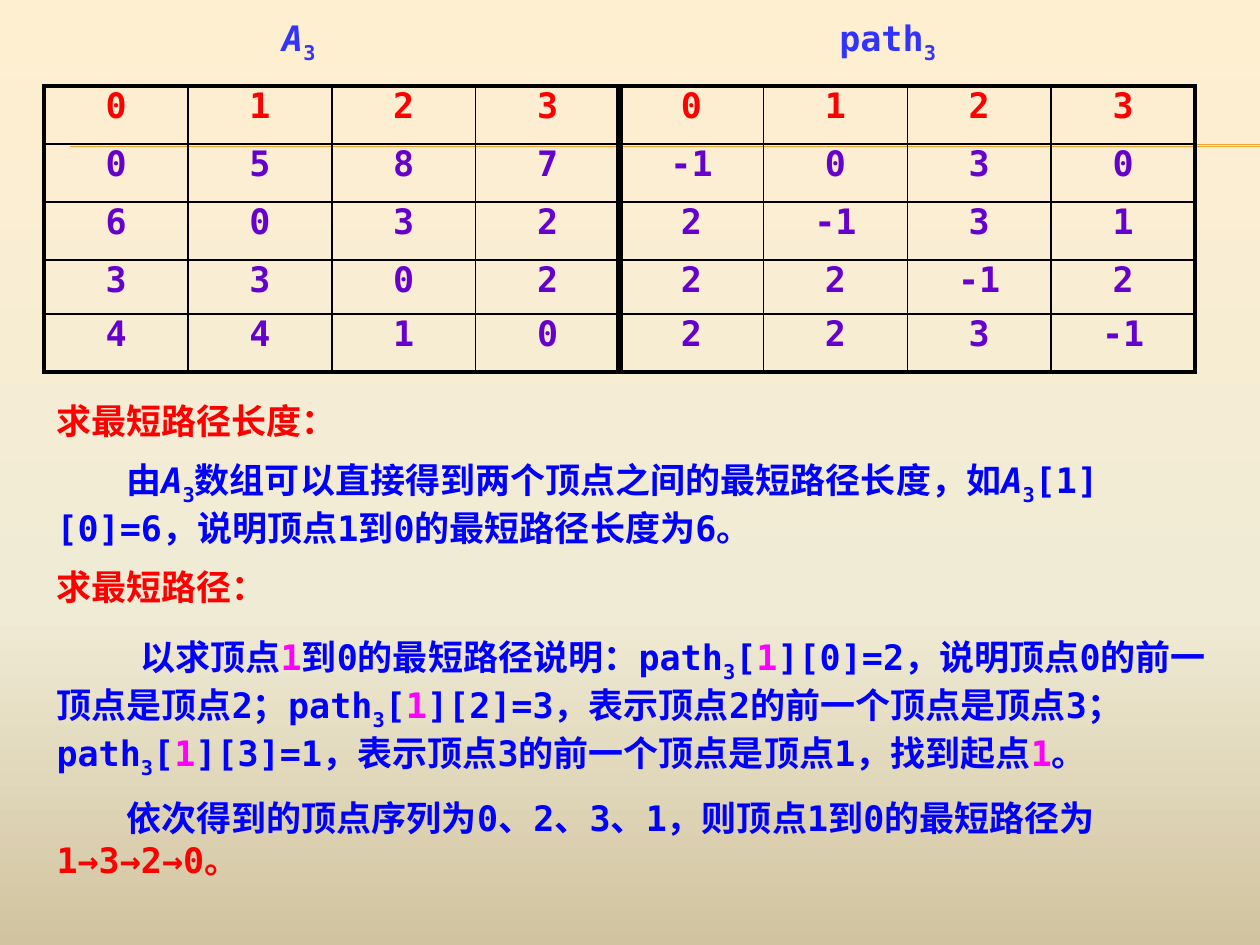
from copy import deepcopy

from lxml import etree
from pptx import Presentation
from pptx.dml.color import RGBColor
from pptx.enum.text import MSO_AUTO_SIZE, PP_ALIGN
from pptx.oxml.ns import qn
from pptx.util import Cm, Pt

CENTER = PP_ALIGN.CENTER
GROW = MSO_AUTO_SIZE.SHAPE_TO_FIT_TEXT
FONT = "DejaVu Sans Mono"
COLORS = {
    "sky": "FFEFD1", "middle": "F0EBD5", "ground": "D1C39F",
    "rule": "F0A22E", "border": "000000", "label": "3333FF",
    "red": "FF0000", "blue": "0000FF", "start": "FF00FF", "value": "6600CC",
}
LENGTHS = [[0, 5, 8, 7], [6, 0, 3, 2], [3, 3, 0, 2], [4, 4, 1, 0]]
PATHS = [[-1, 0, 3, 0], [2, -1, 3, 1], [2, 2, -1, 2], [2, 2, 3, -1]]
THIN, OUTER, DIVIDER = 1, 2.25, 4.5

# Pieces of text: (wording, color, style)
A3 = [("A", "blue", "italic"), ("3", "blue", "sub")]
PATH3 = [("3", "blue", "sub"), ("[", "blue", ""), ("1", "start", "")]
# Paragraphs: (space before in points, first-line indent in cm, pieces)
EXPLANATION = [
    (0, 0, [("求最短路径长度：", "red", "")]),
    (10, 1.41, [
        ("由", "blue", ""), *A3,
        ("数组可以直接得到两个顶点之间的最短路径长度，如", "blue", ""), *A3,
        ("[1][0]=6，说明顶点1到0的最短路径长度为6。", "blue", "")]),
    (10, 0, [("求最短路径：", "red", "")]),
    (16, 1.69, [
        ("以求顶点", "blue", ""), ("1", "start", ""),
        ("到0的最短路径说明：path", "blue", ""), *PATH3,
        ("][0]=2，说明顶点0的前一顶点是顶点2；path", "blue", ""), *PATH3,
        ("][2]=3，表示顶点2的前一个顶点是顶点3；path", "blue", ""), *PATH3,
        ("][3]=1，表示顶点3的前一个顶点是顶点1，找到起点", "blue", ""),
        ("1", "start", ""), ("。", "blue", "")]),
    (10, 1.41, [
        ("依次得到的顶点序列为0、2、3、1，则顶点1到0的最短路径为", "blue", ""),
        ("1→3→2→0。", "red", "")]),
]


def rgb(name):
    return RGBColor.from_string(COLORS[name])


def write(paragraph, pieces):
    for wording, color, style in pieces:
        run = paragraph.add_run()
        run.text = wording
        look = {"name": FONT, "size": Pt(20), "bold": True, "italic": style == "italic"}
        for key, value in look.items():
            setattr(run.font, key, value)
        run.font.color.rgb = rgb(color)
        properties = run._r.get_or_add_rPr()
        etree.SubElement(properties, qn("a:ea")).set("typeface", FONT)
        if style == "sub":
            properties.set("baseline", "-25000")


def text_frame(slide, left, top, width, height):
    frame = slide.shapes.add_textbox(Cm(left), Cm(top), Cm(width), Cm(height)).text_frame
    frame.word_wrap = True
    frame.auto_size = GROW
    return frame


def set_margins(holder, margin):
    for side in ("left", "top", "right", "bottom"):
        setattr(holder, "margin_" + side, margin)


def backdrop(slide, width):
    # Three-stop gradient
    fill = slide.background.fill
    fill.gradient()
    fill.gradient_angle = 270
    last = fill._fill._gradFill.gsLst[-1]
    last.addnext(deepcopy(last))
    stops = (("sky", 0), ("middle", 0.65), ("ground", 1))
    for stop, (color, position) in zip(fill.gradient_stops, stops):
        stop.color.rgb = rgb(color)
        stop.position = position
    # Double rule
    for y in (2.92, 2.95):
        rule = slide.shapes.add_connector(1, Cm(1.42), Cm(y), width, Cm(y))
        rule.line.color.rgb = rgb("rule")
        rule.line.width = Pt(0.75)
        etree.SubElement(rule._element.spPr, qn("a:effectLst"))


def set_border(cell, edge, points):
    line = etree.SubElement(cell._tc.get_or_add_tcPr(), qn("a:" + edge))
    line.set("w", str(Pt(points)))
    solid = etree.SubElement(line, qn("a:solidFill"))
    etree.SubElement(solid, qn("a:srgbClr")).set("val", COLORS["border"])


def matrices(slide, left, top, column_width, row_heights):
    header = list(range(4)) * 2
    rows = [header] + [a + p for a, p in zip(LENGTHS, PATHS)]
    n_rows, n_cols = len(rows), len(header)
    table = slide.shapes.add_table(
        n_rows, n_cols, Cm(left), Cm(top),
        Cm(column_width * n_cols), Cm(sum(row_heights))).table
    table.first_row = table.horz_banding = False
    for column in table.columns:
        column.width = Cm(column_width)
    # Border weight of each vertical and horizontal grid line
    vertical = {0: OUTER, n_cols // 2: DIVIDER, n_cols: OUTER}
    horizontal = {0: OUTER, n_rows: OUTER}
    for r, numbers in enumerate(rows):
        table.rows[r].height = Cm(row_heights[r])
        for c, number in enumerate(numbers):
            cell = table.cell(r, c)
            set_margins(cell, 0)
            for edge, weights, index in (("lnL", vertical, c), ("lnR", vertical, c + 1),
                                         ("lnT", horizontal, r), ("lnB", horizontal, r + 1)):
                set_border(cell, edge, weights.get(index, THIN))
            cell.fill.background()
            paragraph = cell.text_frame.paragraphs[0]
            paragraph.alignment = CENTER
            write(paragraph, [(str(number), "value" if r else "red", "")])


def matrix_label(slide, left, top, width, name, style):
    frame = text_frame(slide, left, top, width, 0.86)
    set_margins(frame, 0)
    write(frame.paragraphs[0], [(name, "label", style), ("3", "label", "sub")])


def explanation(slide, left, top, width, height):
    frame = text_frame(slide, left, top, width, height)
    for i, (before, indent, pieces) in enumerate(EXPLANATION):
        paragraph = frame.add_paragraph() if i else frame.paragraphs[0]
        paragraph.space_before = Pt(before)
        paragraph._p.get_or_add_pPr().set("indent", str(Cm(indent)))
        write(paragraph, pieces)


prs = Presentation()
prs.slide_width, prs.slide_height = Cm(25.4), Cm(19.05)
slide = prs.slides.add_slide(prs.slide_layouts[6])
backdrop(slide, prs.slide_width)
explanation(slide, 0.89, 7.92, 24.21, 9.27)
matrices(slide, 0.89, 1.73, 2.9, [1.17, 1.17, 1.17, 1.09, 1.17])
matrix_label(slide, 5.69, 0.33, 1.6, "A", "italic")
matrix_label(slide, 16.92, 0.33, 2.39, "path", "")
prs.save("out.pptx")
